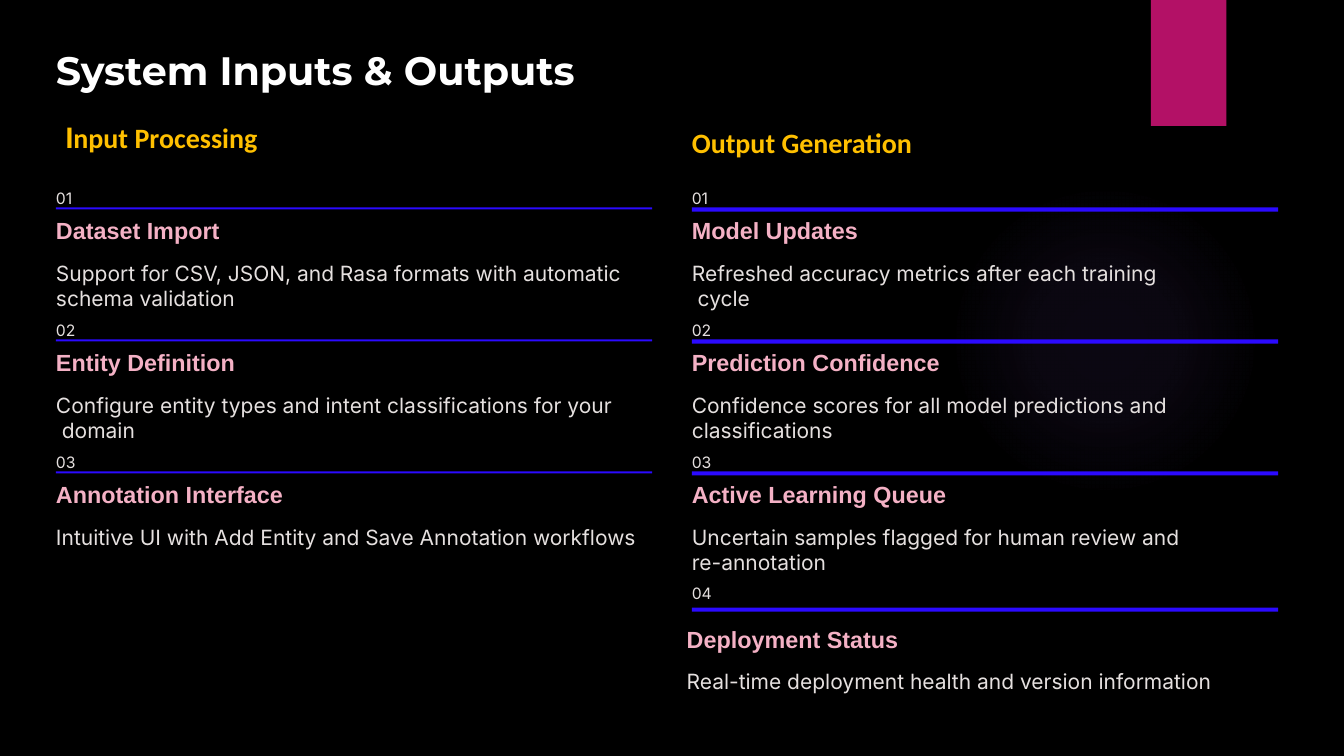
from pptx import Presentation
from pptx.dml.color import RGBColor
from pptx.enum.shapes import MSO_SHAPE
from pptx.enum.text import MSO_ANCHOR, MSO_AUTO_SIZE, PP_ALIGN
from pptx.oxml import parse_xml
from pptx.util import Pt

RECT, OVAL = MSO_SHAPE.RECTANGLE, MSO_SHAPE.OVAL
TOP, LEFT, FIXED = MSO_ANCHOR.TOP, PP_ALIGN.LEFT, MSO_AUTO_SIZE.NONE
HUES = {"back": "000000", "head": "FFFFFF", "gold": "FFC000", "pink": "F4B1C5",
        "body": "E5E0DF", "rule": "2B0AFF", "tab": "B31166", "glow": "9B6BF2"}
NS = "http://schemas.openxmlformats.org/drawingml/2006/main"
PITCH = 113.1
INPUTS = [
    ("Dataset Import", ["Support for CSV, JSON, and Rasa formats with automatic",
                        "schema validation"]),
    ("Entity Definition", ["Configure entity types and intent classifications for your",
                           " domain"]),
    ("Annotation Interface", ["Intuitive UI with Add Entity and Save Annotation workflows"]),
]
OUTPUTS = [
    ("Model Updates", ["Refreshed accuracy metrics after each training", " cycle"]),
    ("Prediction Confidence", ["Confidence scores for all model predictions and",
                               "classifications"]),
    ("Active Learning Queue", ["Uncertain samples flagged for human review and",
                               "re-annotation"]),
    ("Deployment Status", ["Real-time deployment health and version information"]),
]


def hue(name):
    """Return the named colour."""
    return RGBColor.from_string(HUES[name])


def place(shape, box):
    """Move a shape to a box in points."""
    shape.left, shape.top, shape.width, shape.height = map(Pt, box)


def write(slide, box, lines, size, lead, color, font="Inter", bold=False, shape=None):
    """Write lines, each a list of (text, font) runs or a string, into a box."""
    shape = shape or slide.shapes.add_textbox(*map(Pt, box))
    place(shape, box)
    frame = shape.text_frame
    frame.margin_left = frame.margin_right = frame.margin_top = frame.margin_bottom = 0
    frame.word_wrap, frame.auto_size, frame.vertical_anchor = True, FIXED, TOP
    for i, line in enumerate(lines):
        para = frame.add_paragraph() if i else frame.paragraphs[0]
        para.alignment, para.line_spacing = LEFT, Pt(lead)
        para.space_before = para.space_after = Pt(0)
        for text, face in [(line, font)] if isinstance(line, str) else line:
            run = para.add_run()
            run.text = text
            run.font.name, run.font.size, run.font.bold = face, Pt(size), bold
            run.font.color.rgb = hue(color)


def block(slide, box, color, kind=RECT):
    """Draw a plain filled shape."""
    shape = slide.shapes.add_shape(kind, *map(Pt, box))
    shape.shadow.inherit = False
    shape.fill.solid()
    shape.fill.fore_color.rgb = hue(color)
    shape.line.fill.background()
    return shape


def glow(slide, box):
    """Draw a round glow that fades outwards."""
    shape = block(slide, box, "glow", OVAL)
    stops = "".join(
        f'<a:gs pos="{pos}000"><a:srgbClr val="{HUES["glow"]}">'
        f'<a:alpha val="{alpha}000"/></a:srgbClr></a:gs>'
        for pos, alpha in [(0, 7), (36, 6), (69, 0), (100, 0)])
    grad = parse_xml(
        f'<a:gradFill xmlns:a="{NS}" rotWithShape="1"><a:gsLst>{stops}</a:gsLst>'
        '<a:path path="circle"><a:fillToRect l="50000" t="50000" r="50000" b="50000"/>'
        '</a:path></a:gradFill>')
    props = shape.element.spPr
    props.replace(props.find(f"{{{NS}}}solidFill"), grad)


def item(slide, box, num, name, lines, thick, drop=0):
    """Draw a number, a rule, a name and its details; drop lowers the last two."""
    x, y, w, h = box
    write(slide, (x, y, 30, 17.3), [f"{num:02d}"], 13.5, 21.5, "body")
    block(slide, (x, y + 21.6 + drop / 3, w, thick), "rule")
    x -= drop * 0.4
    write(slide, (x, y + 32 + drop, 260, 21.6), [name], 20, 21, "pink", "Arial", True)
    write(slide, (x, y + 67 + drop, 511, 22.3 * len(lines)), lines, 18, 21.5, "body")


def column(slide, box, items, thick, drops=()):
    """Stack items at an even pitch inside a box."""
    x, y, w, h = box
    for i, (name, lines) in enumerate(items):
        item(slide, (x, y + i * PITCH, w, PITCH), i + 1, name, lines, thick,
             drops[i] if drops else 0)


def main():
    """Build and save the slide."""
    deck = Presentation()
    deck.slide_width, deck.slide_height = Pt(1152), Pt(648)
    slide = deck.slides.add_slide(deck.slide_layouts[5])
    slide.background.fill.solid()
    slide.background.fill.fore_color.rgb = hue("back")
    glow(slide, (813.6, 158.4, 266.4, 266.4))
    block(slide, (986.4, 0, 64.8, 108), "tab")
    write(slide, (48, 37.5, 600, 43), ["System Inputs & Outputs"], 34, 42.5, "head",
          "Montserrat", True, slide.shapes.title)
    write(slide, (56.2, 106.5, 300, 26), [[("I", "Inter"), ("nput Processing", "Calibri")]],
          24, 25.5, "gold", bold=True)
    write(slide, (593, 111, 300, 30), ["Output Generation"], 24, 25.5, "gold",
          "Calibri", True)
    column(slide, (48, 156.2, 511, 340), INPUTS, 1.8)
    column(slide, (593, 156.2, 502.6, 453), OUTPUTS, 3.6, (0, 0, 0, 11))
    deck.save("out.pptx")


if __name__ == "__main__":
    main()
